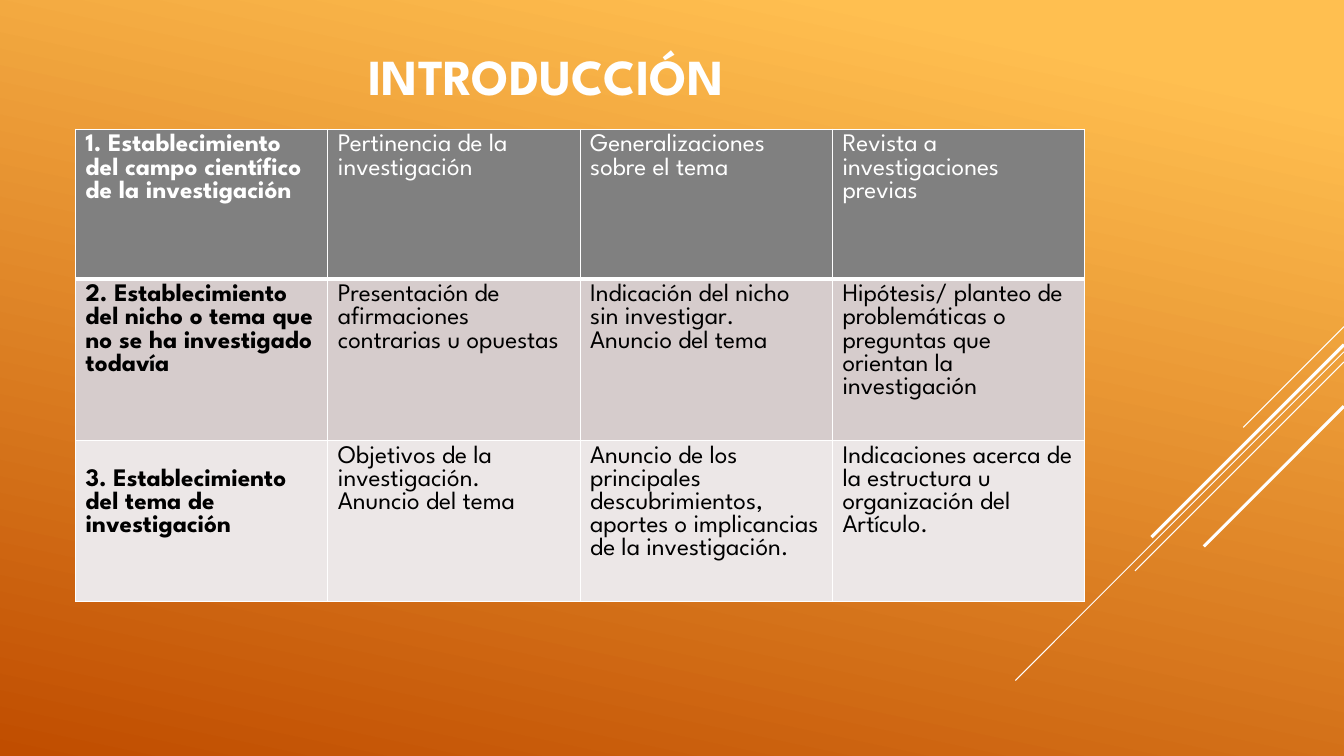
from lxml.etree import SubElement
from pptx import Presentation
from pptx.dml.color import RGBColor
from pptx.enum.shapes import MSO_CONNECTOR
from pptx.enum.text import MSO_ANCHOR, PP_ALIGN
from pptx.oxml.ns import qn
from pptx.util import Pt

FONT = "League Spartan"
WIDTH, HEIGHT = 960, 540
COL_W, ROW_H = 180.2, 107.1
ROW_STYLES = [("808080", "FFFFFF"), ("D6CCCC", "000000"), ("ECE7E7", "000000")]
ROWS = [
    ["1. Establecimiento del campo científico de la investigación",
     "Pertinencia de la investigación",
     "Generalizaciones sobre el tema",
     "Revista a investigaciones previas"],
    ["2. Establecimiento del nicho o tema que no se ha investigado todavía",
     "Presentación de afirmaciones contrarias u opuestas",
     "Indicación del nicho sin investigar. Anuncio del tema",
     "Hipótesis/ planteo de problemáticas o preguntas que orientan la investigación"],
    ["3. Establecimiento del tema de investigación",
     "Objetivos de la investigación.\nAnuncio del tema",
     "Anuncio de los principales descubrimientos, aportes o implicancias de la investigación.",
     "Indicaciones acerca de la estructura u organización del Artículo."],
]
DIAGONALS = [(233.3, 72, 0.75), (251.3, 234.7, 0.75), (258.5, 149.3, 0.75),
             (246.2, 137.5, 2.25), (290.2, 100.1, 2.25)]


def rgb(value):
    """Turn a hex string into a colour."""
    return RGBColor.from_string(value)


def format_text(tf, size, color, bold):
    """Format every run of a text frame."""
    for p in tf.paragraphs:
        for r in p.runs:
            r.font.name = FONT
            r.font.size = Pt(size)
            r.font.bold = bold
            r.font.color.rgb = rgb(color)


def set_background(s):
    """Fill the slide with the orange gradient."""
    fill = s.background.fill
    fill.gradient()
    fill.gradient_angle = 258
    stops = [(0.1, "FFBF50"), (1, "C04D00")]
    for stop, (position, color) in zip(fill.gradient_stops, stops):
        stop.position = position
        stop.color.rgb = rgb(color)


def add_diagonal(s, y, run, width):
    """Draw a 45 degree line down from the right edge."""
    line = s.shapes.add_connector(MSO_CONNECTOR.STRAIGHT, Pt(WIDTH), Pt(y),
                                  Pt(WIDTH - run), Pt(y + run))
    line.line.color.rgb = rgb("FFFFFF")
    line.line.width = Pt(width)
    SubElement(line._element.spPr, qn("a:effectLst"))


def add_title(s, text):
    """Add the centred slide title."""
    sp = s.shapes.add_textbox(Pt(54), Pt(16), Pt(672), Pt(76))
    tf = sp.text_frame
    tf.word_wrap = True
    tf.vertical_anchor = MSO_ANCHOR.MIDDLE
    tf.text = text
    tf.paragraphs[0].alignment = PP_ALIGN.CENTER
    format_text(tf, 36, "FFFFFF", True)


def set_borders(cell, top, bottom):
    """Give a cell white borders."""
    tcPr = cell._tc.get_or_add_tcPr()
    for side, width in (("L", 1), ("R", 1), ("T", top), ("B", bottom)):
        ln = SubElement(tcPr, qn(f"a:ln{side}"), w=str(Pt(width)))
        fill = SubElement(ln, qn("a:solidFill"))
        SubElement(fill, qn("a:srgbClr"), val="FFFFFF")


def add_stage_table(s):
    """Add the table of the three stages."""
    n_rows, n_cols = len(ROWS), len(ROWS[0])
    table = s.shapes.add_table(n_rows, n_cols, Pt(54), Pt(92.2),
                               Pt(COL_W * n_cols), Pt(ROW_H * n_rows)).table
    for column in table.columns:
        column.width = Pt(COL_W)
    for i, (texts, (fill, color)) in enumerate(zip(ROWS, ROW_STYLES)):
        table.rows[i].height = Pt(ROW_H)
        for j, text in enumerate(texts):
            cell = table.cell(i, j)
            set_borders(cell, 3 if i == 1 else 1, 3 if i == 0 else 1)
            cell.fill.solid()
            cell.fill.fore_color.rgb = rgb(fill)
            cell.text_frame.text = text
            format_text(cell.text_frame, 18, color, j == 0)
    table.cell(2, 0).margin_top = Pt(20.2)


def main():
    """Build the slide and save it."""
    prs = Presentation()
    prs.slide_width, prs.slide_height = Pt(WIDTH), Pt(HEIGHT)
    s = prs.slides.add_slide(prs.slide_layouts[6])
    set_background(s)
    for y, run, width in DIAGONALS:
        add_diagonal(s, y, run, width)
    add_title(s, "INTRODUCCIÓN")
    add_stage_table(s)
    prs.save("out.pptx")


if __name__ == "__main__":
    main()
